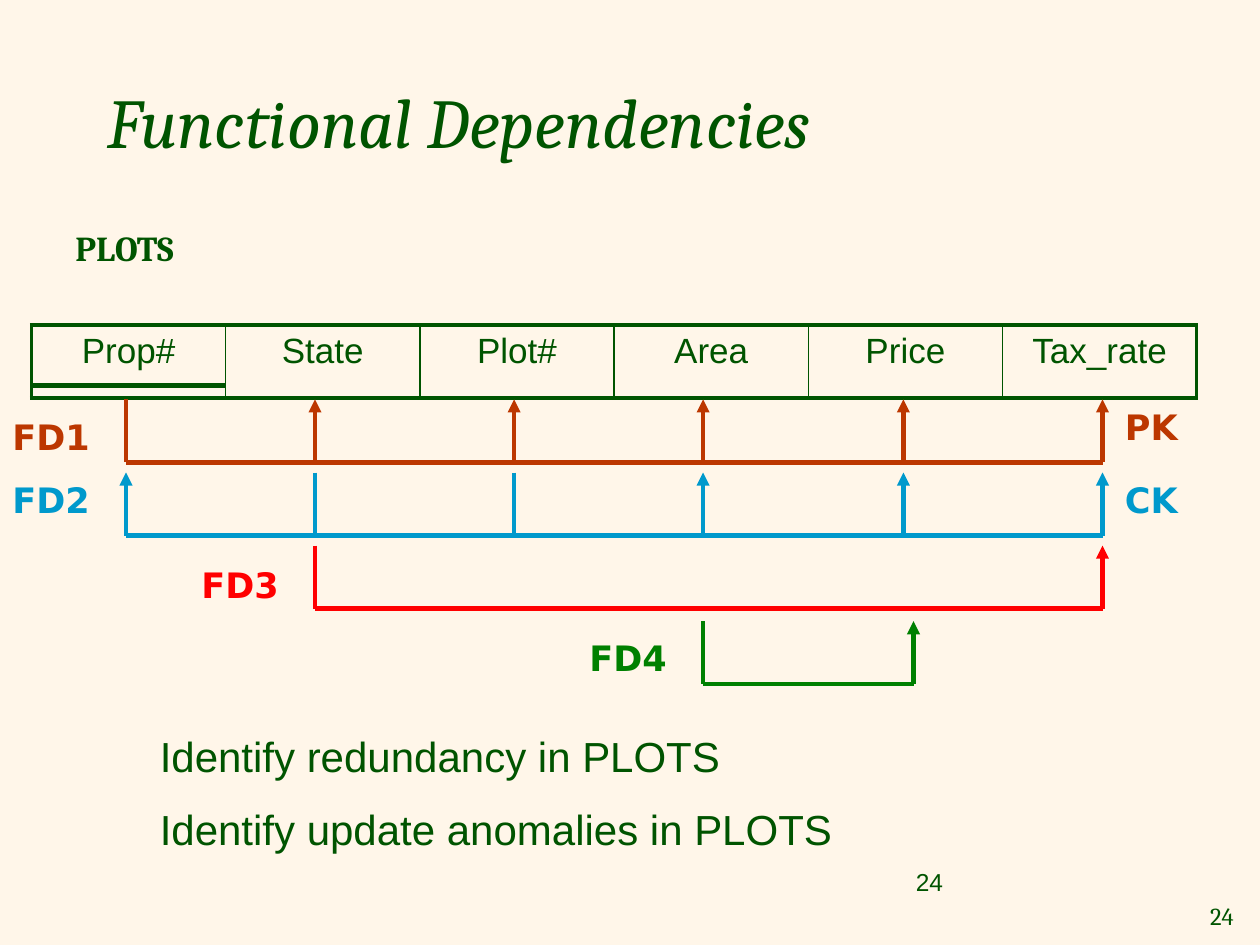
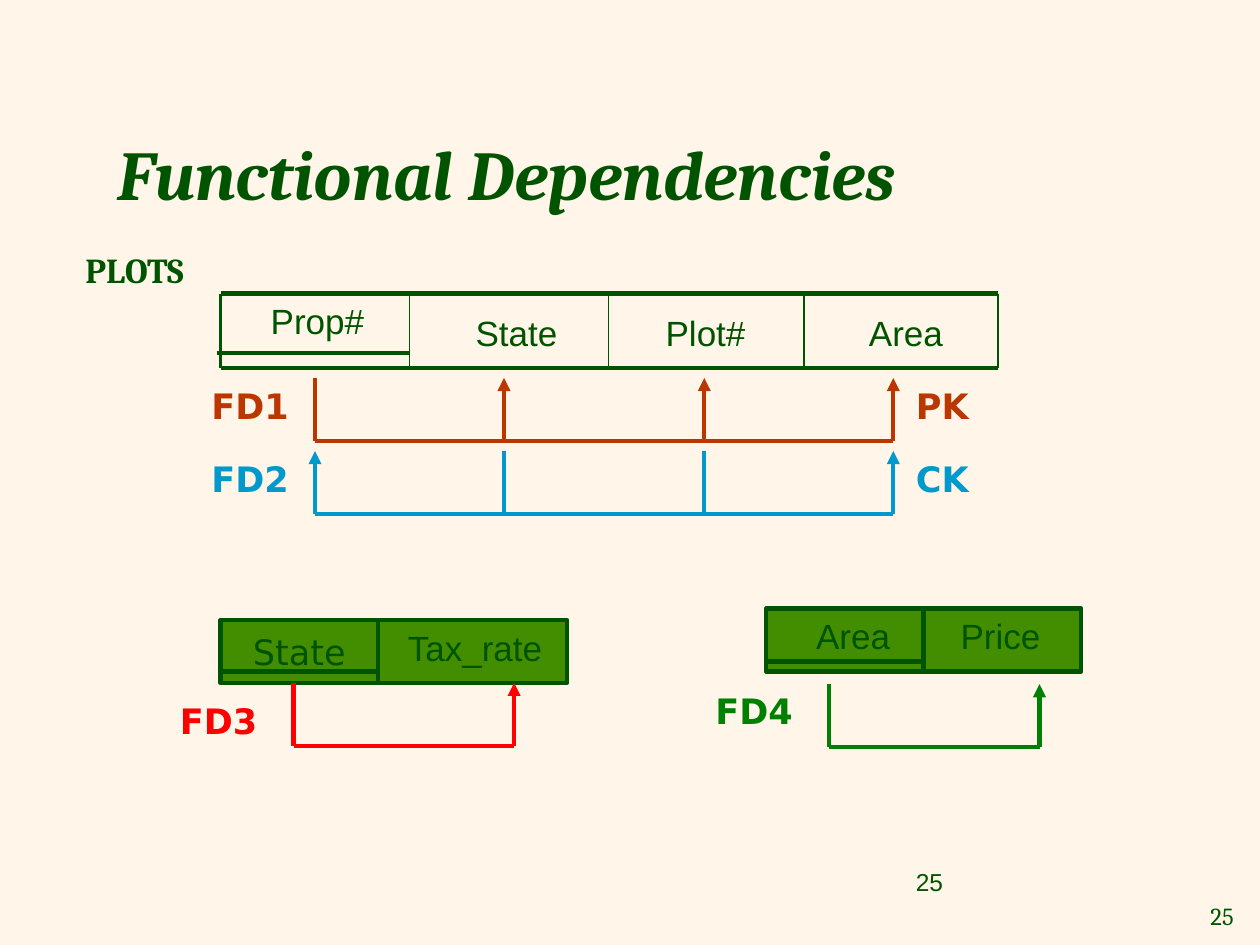
import pptx
import pptx.util
import pptx.dml.color
import pptx.enum.shapes
import pptx.enum.text
import pptx.oxml.ns
import lxml.etree

Inches, Pt = pptx.util.Inches, pptx.util.Pt
qn = pptx.oxml.ns.qn
ALIGN, ANCHOR = pptx.enum.text.PP_ALIGN, pptx.enum.text.MSO_ANCHOR

COLORS = {
    "background": "FFF6E9",
    "ink": "005400",
    "cell": "438E00",
    "fd1": "BC3700",
    "fd2": "0099CC",
    "fd3": "FF0000",
    "fd4": "008000",
}
SERIF, SANS, LABEL = "Cambria", "Arial", "DejaVu Sans"
STEM = 0.5
BOLD_LINE = 2.5


def rgb(name):
    return pptx.dml.color.RGBColor.from_string(COLORS[name])


def write(tf, text, color="ink", align=ALIGN.LEFT, anchor=ANCHOR.TOP, **fmt):
    """Put one formatted paragraph in a text frame."""
    frame = {"word_wrap": True, "vertical_anchor": anchor,
             "auto_size": pptx.enum.text.MSO_AUTO_SIZE.NONE}
    for key, value in frame.items():
        setattr(tf, key, value)
    p = tf.paragraphs[0]
    p.alignment = align
    r = p.add_run()
    r.text = text
    for key, value in fmt.items():
        setattr(r.font, key, value)
    r.font.color.rgb = rgb(color)


def add_text(s, box, text, **fmt):
    tb = s.shapes.add_textbox(*map(Inches, box))
    write(tb.text_frame, text, **fmt)


def add_line(s, start, end, color="ink", width=BOLD_LINE, arrow=False):
    kind = pptx.enum.shapes.MSO_CONNECTOR.STRAIGHT
    c = s.shapes.add_connector(kind, *map(Inches, (*start, *end)))
    c.line.color.rgb = rgb(color)
    c.line.width = Pt(width)
    spPr = c._element.spPr
    if arrow:
        lxml.etree.SubElement(spPr.find(qn("a:ln")), qn("a:tailEnd"), type="triangle")
    lxml.etree.SubElement(spPr, qn("a:effectLst"))


def add_base(prs, number, title_at, bold, name_box):
    """Start a slide with its title, relation name and page numbers."""
    s = prs.slides.add_slide(prs.slide_layouts[5])
    title = s.shapes.title
    place = zip(("left", "top", "width", "height"), (*title_at, 8.68, 1.08))
    for key, value in place:
        setattr(title, key, Inches(value))
    write(title.text_frame, "Functional Dependencies", anchor=ANCHOR.MIDDLE,
          name=SERIF, size=Pt(40), bold=bold, italic=True)
    add_text(s, name_box, "PLOTS", name=SERIF, size=Pt(20), bold=True)
    add_text(s, (9.45, 7.1, 0.44, 0.33), str(number), align=ALIGN.RIGHT,
             anchor=ANCHOR.MIDDLE, name=SERIF, size=Pt(14))
    add_text(s, (7.17, 6.83, 2.33, 0.52), str(number), name=SANS, size=Pt(14))
    return s


def add_dependency(s, fd, top, sources, targets, label_at, key=None):
    """Draw a bracket whose arrows point at the dependent columns."""
    color = fd.lower()
    bottom = top + STEM
    xs = sorted(sources + targets)
    add_line(s, (xs[0], bottom), (xs[-1], bottom), color)
    for x in sources:
        add_line(s, (x, top), (x, bottom), color)
    for x in targets:
        add_line(s, (x, bottom), (x, top), color, arrow=True)
    labels = [(fd, label_at)]
    if key:
        labels.append((key, (xs[-1] + 0.08, top)))
    for text, at in labels:
        add_text(s, (*at, 0.92, 0.43), text, color=color,
                 name=LABEL, size=Pt(20), bold=True)


def set_borders(cell, widths):
    """Give a cell its borders, as widths by tag in schema order."""
    tcPr = cell._tc.get_or_add_tcPr()
    for i, (tag, width) in enumerate(widths.items()):
        ln = lxml.etree.Element(qn("a:" + tag), w=str(Pt(width)))
        fill = lxml.etree.SubElement(ln, qn("a:solidFill"))
        lxml.etree.SubElement(fill, qn("a:srgbClr"), val=COLORS["ink"])
        tcPr.insert(i, ln)


def add_relation_table(s, box, columns):
    """Table of column names; the first one is underlined as the key."""
    x, y, w, h = box
    table = s.shapes.add_table(1, len(columns), *map(Inches, box)).table
    table.first_row = table.horz_banding = False
    step = w / len(columns)
    last = len(columns) - 1
    for i, text in enumerate(columns):
        table.columns[i].width = Inches(step)
        cell = table.cell(0, i)
        cell.fill.background()
        write(cell.text_frame, text, align=ALIGN.CENTER, name=SANS, size=Pt(20))
        set_borders(cell, {"lnL": 1 if i else 2.25, "lnR": 2.25 if i == last else 1,
                           "lnT": 2.25, "lnB": 2.25})
    add_line(s, (x, y + 0.48), (x + step, y + 0.48))


def add_ruled_relation(s, top, height, edges, labels):
    """Relation drawn with rules; labels are (text, left, drop)."""
    bottom = top + height
    for x in edges:
        add_line(s, (x, top), (x, bottom), width=2.25 if x == edges[0] else 1)
    for y in (top, bottom):
        add_line(s, (edges[0], y), (edges[-1], y))
    add_line(s, (edges[0] - 0.03, top + 0.47), (edges[1], top + 0.47))
    for text, left, drop in labels:
        add_text(s, (left, top + drop, 1.54, height), text,
                 align=ALIGN.CENTER, name=SANS, size=Pt(20))


def add_filled_relation(s, x, y, cells, rule_drop):
    """Filled cells, each (text, width, left inset, font, anchor)."""
    left = x
    for text, width, inset, font, anchor in cells:
        sp = s.shapes.add_shape(pptx.enum.shapes.MSO_SHAPE.RECTANGLE,
                                *map(Inches, (left, y, width, 0.5)))
        sp.shadow.inherit = False
        sp.fill.solid()
        sp.fill.fore_color.rgb = rgb("cell")
        sp.line.color.rgb = rgb("ink")
        sp.line.width = Pt(BOLD_LINE)
        sp.text_frame.margin_left = Inches(inset)
        write(sp.text_frame, text, align=ALIGN.CENTER, anchor=anchor,
              name=font, size=Pt(20))
        left += width
    key_right = x + cells[0][1]
    add_line(s, (x, y + rule_drop), (key_right, y + rule_drop))


def build_single_relation(prs):
    s = add_base(prs, 24, (0.75, 0.42), False, (0.5, 1.75, 1.61, 0.54))
    add_relation_table(s, (0.25, 2.58, 9.25, 0.58),
                       ["Prop#", "State", "Plot#", "Area", "Price", "Tax_rate"])
    # Dependencies below the table
    prop, state, plot, area, price, tax = 1, 2.5, 4.08, 5.58, 7.17, 8.75
    add_dependency(s, "FD1", 3.17, [prop], [state, plot, area, price, tax],
                   (0, 3.25), "PK")
    add_dependency(s, "FD2", 3.75, [state, plot], [prop, area, price, tax],
                   (0, 3.75), "CK")
    add_dependency(s, "FD3", 4.33, [state], [tax], (1.5, 4.42))
    add_dependency(s, "FD4", 4.93, [area], [price + 0.08], (4.58, 5))
    # Tasks
    tasks = ["Identify redundancy in PLOTS", "Identify update anomalies in PLOTS"]
    for i, text in enumerate(tasks):
        add_text(s, (1.17, 5.75 + 0.58 * i, 8, 0.5), text, name=SANS, size=Pt(24))


def build_split_relations(prs):
    s = add_base(prs, 25, (0.83, 0.83), True, (0.58, 1.92, 1.59, 0.5))
    # Main relation
    prop, state, plot, area = 2.5, 4, 5.59, 7.09
    add_dependency(s, "FD1", 3, [prop], [state, plot, area], (1.58, 3), "PK")
    add_dependency(s, "FD2", 3.58, [state, plot], [prop, area], (1.58, 3.58), "CK")
    add_ruled_relation(s, 2.33, 0.59, [1.75, 3.25, 4.83, 6.38, 7.92],
                       [("Prop#", 1.75, 0), ("State", 3.33, 0.09),
                        ("Plot#", 4.83, 0.09), ("Area", 6.42, 0.09)])
    # Relations split off for FD3 and FD4
    add_filled_relation(s, 1.75, 4.92,
                        [("State", 1.25, 0.1, LABEL, ANCHOR.MIDDLE),
                         ("Tax_rate", 1.5, 0.14, SANS, ANCHOR.TOP)], 0.41)
    add_dependency(s, "FD3", 5.42, [2.33], [4.08], (1.33, 5.5))
    add_filled_relation(s, 6.08, 4.83,
                        [("Area", 1.25, 0.23, SANS, ANCHOR.TOP),
                         ("Price", 1.25, 0.07, SANS, ANCHOR.TOP)], 0.42)
    add_dependency(s, "FD4", 5.43, [6.58], [8.25], (5.58, 5.42))


def main():
    prs = pptx.Presentation()
    prs.slide_width, prs.slide_height = Inches(10), Inches(7.5)
    fill = prs.slide_master.background.fill
    fill.solid()
    fill.fore_color.rgb = rgb("background")
    build_single_relation(prs)
    build_split_relations(prs)
    prs.save("out.pptx")


if __name__ == "__main__":
    main()
